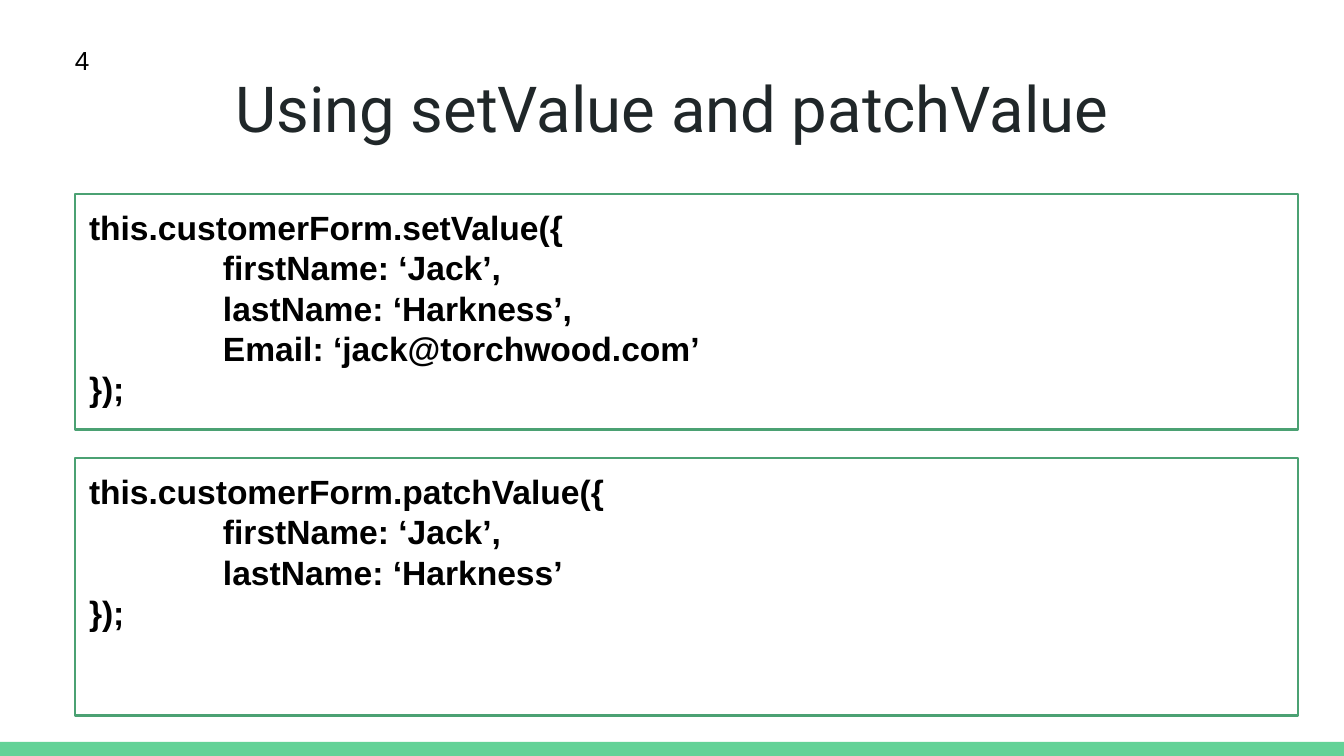
"""Build a slide comparing setValue and patchValue on a form."""
from lxml.etree import SubElement
from pptx import Presentation
from pptx.dml.color import RGBColor
from pptx.enum.shapes import MSO_SHAPE
from pptx.enum.text import MSO_ANCHOR, PP_ALIGN
from pptx.oxml.ns import qn
from pptx.util import Inches, Pt

WHITE = RGBColor(0xFF, 0xFF, 0xFF)
BLACK = RGBColor(0x00, 0x00, 0x00)
INK = RGBColor(0x20, 0x27, 0x29)
GREEN = RGBColor(0x63, 0xD2, 0x97)
BORDER = RGBColor(0x4B, 0xA1, 0x73)

WIDTH, HEIGHT = 1344, 756
SCALE = Inches(10) / WIDTH
INSET_X, INSET_Y = 14, 13
TAB_STOP = 134

TITLE = "Using setValue and patchValue"
NUMBER = "4"
PANEL_LEFT, PANEL_WIDTH, PANEL_TOP, PANEL_GAP = 75, 1223, 194, 28
PANELS = [
    (236, [
        "this.customerForm.setValue({",
        "\tfirstName: ‘Jack’,",
        "\tlastName: ‘Harkness’,",
        "\tEmail: ‘jack@torchwood.com’",
        "});",
    ]),
    (258, [
        "this.customerForm.patchValue({",
        "\tfirstName: ‘Jack’,",
        "\tlastName: ‘Harkness’",
        "});",
    ]),
]


def px(length):
    return round(length * SCALE)


def add_box(slide, left, top, width, height, fill, line=None):
    shape = slide.shapes.add_shape(
        MSO_SHAPE.RECTANGLE, px(left), px(top), px(width), px(height))
    shape.shadow.inherit = False
    shape.fill.solid()
    shape.fill.fore_color.rgb = fill
    if line is None:
        shape.line.fill.background()
    else:
        shape.line.color.rgb = line
        shape.line.width = Pt(1.5)
    return shape


def add_tab_stop(paragraph, position):
    tabs = SubElement(paragraph._p.get_or_add_pPr(), qn("a:tabLst"))
    SubElement(tabs, qn("a:tab"), pos=str(px(position)), algn="l")


def write(shape, lines, size, font="Arial", color=BLACK, bold=False,
          align=PP_ALIGN.LEFT, anchor=MSO_ANCHOR.TOP):
    frame = shape.text_frame
    frame.word_wrap = True
    frame.vertical_anchor = anchor
    frame.margin_left = frame.margin_right = px(INSET_X)
    frame.margin_top = frame.margin_bottom = px(INSET_Y)
    for index, line in enumerate(lines):
        paragraph = frame.add_paragraph() if index else frame.paragraphs[0]
        paragraph.alignment = align
        if line.startswith("\t"):
            add_tab_stop(paragraph, TAB_STOP)
        run = paragraph.add_run()
        run.text = line
        run.font.name = font
        run.font.size = Pt(size)
        run.font.bold = bold
        run.font.color.rgb = color


def main():
    presentation = Presentation()
    presentation.slide_width = px(WIDTH)
    presentation.slide_height = px(HEIGHT)
    slide = presentation.slides.add_slide(presentation.slide_layouts[6])
    slide.background.fill.solid()
    slide.background.fill.fore_color.rgb = WHITE

    add_box(slide, 0, 742, WIDTH, HEIGHT - 742, GREEN)
    title = slide.shapes.add_textbox(px(46), px(65), px(1252), px(85))
    write(title, [TITLE], 34, "Roboto", INK,
          align=PP_ALIGN.CENTER, anchor=MSO_ANCHOR.MIDDLE)

    top = PANEL_TOP
    for height, code in PANELS:
        panel = add_box(slide, PANEL_LEFT, top, PANEL_WIDTH, height, WHITE, BORDER)
        write(panel, code, 18, bold=True)
        top += height + PANEL_GAP

    number = slide.shapes.add_textbox(px(61), px(31), px(754), px(87))
    write(number, [NUMBER], 14)
    presentation.save("out.pptx")


if __name__ == "__main__":
    main()
